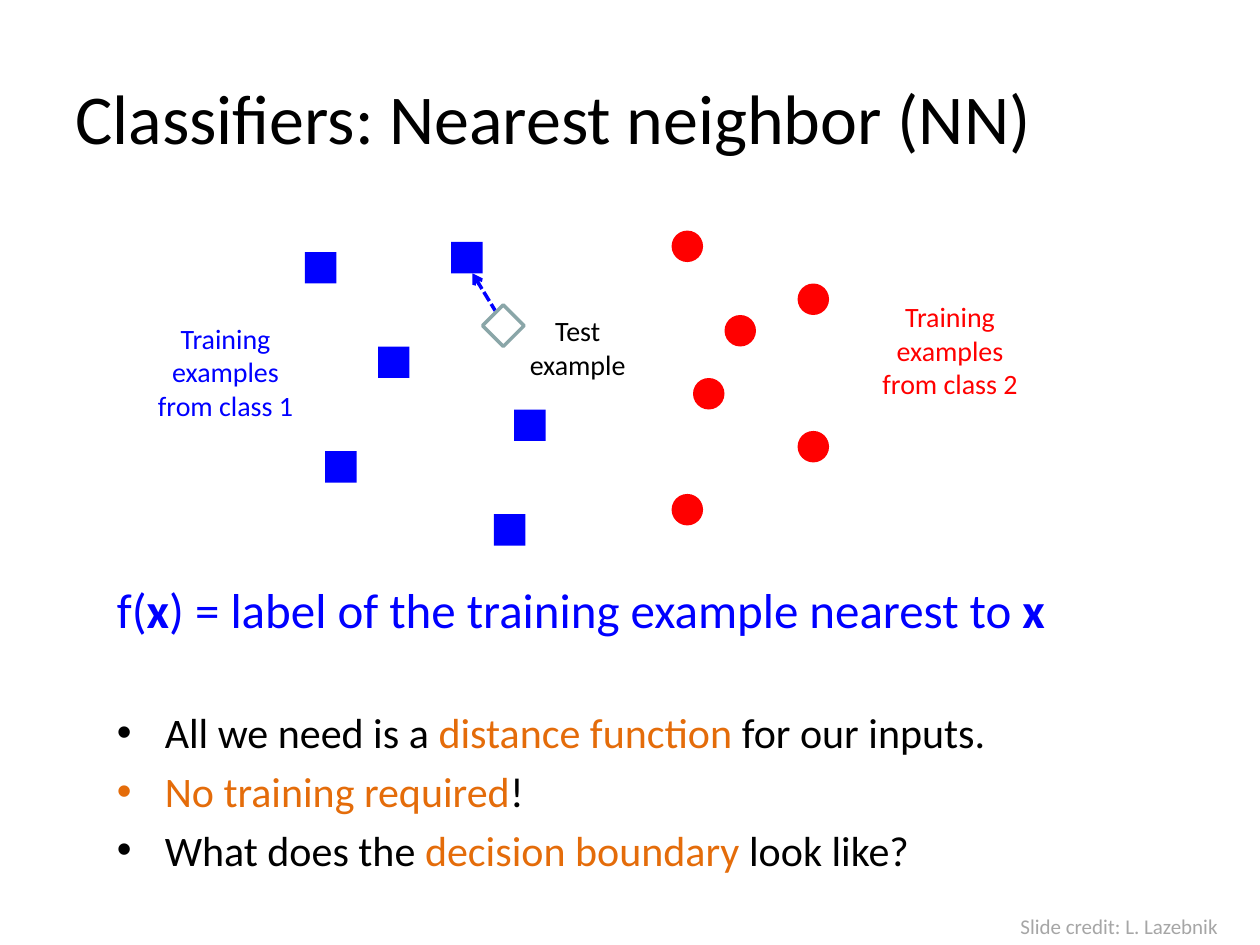
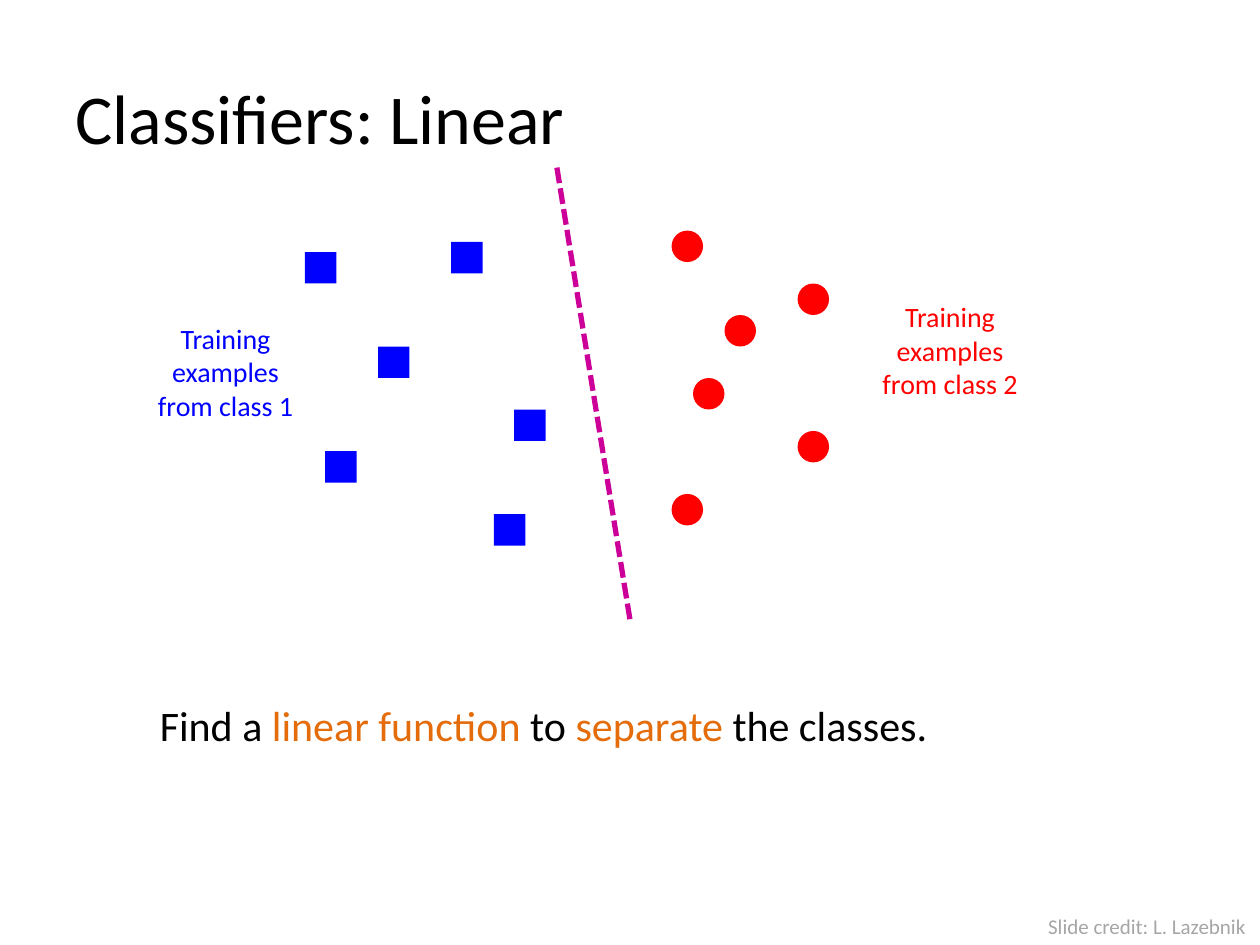
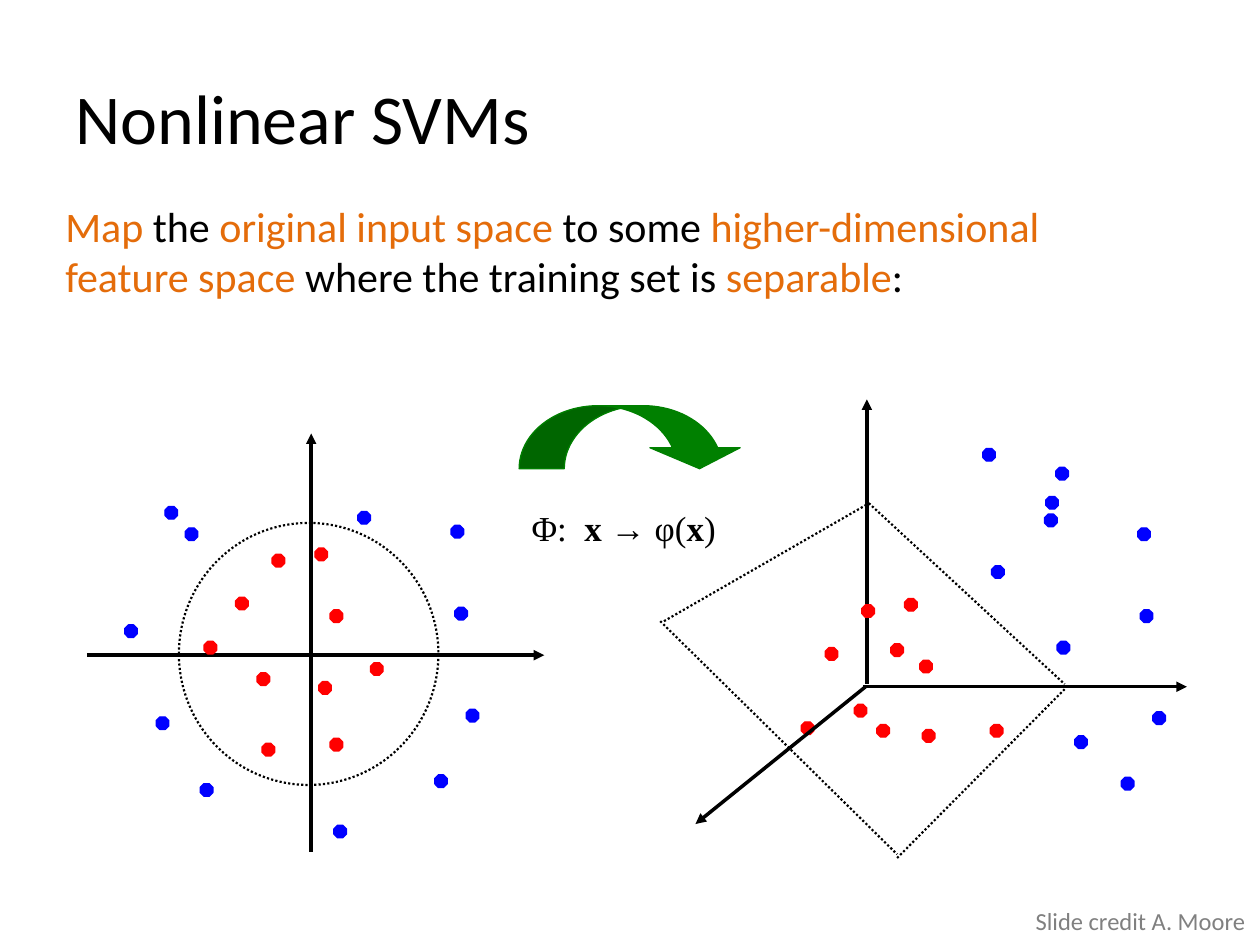
from lxml import etree
from pptx import Presentation, util as u
from pptx.dml.color import RGBColor
from pptx.enum import dml, shapes, text
from pptx.oxml import ns

# Shared look
BLACK, WHITE, BLUE, RED = "000000", "FFFFFF", "0000FF", "FF0000"
ORANGE, GREEN, PURPLE, SLATE = "E46C0A", "008000", "CC0099", "8AA6A8"
FONT, MATH_FONT = "Calibri", "Times New Roman"
DASHED, DOTTED = dml.MSO_LINE.SQUARE_DOT, dml.MSO_LINE.ROUND_DOT
SHAPE = shapes.MSO_SHAPE

# Left and top of each marker
CLASS_1 = [(2.42, 2), (3, 2.75), (3.58, 1.92), (2.58, 3.58), (4.08, 3.25), (3.92, 4.08)]
CLASS_2 = [(6.33, 2.25), (5.5, 3), (6.33, 3.42), (5.33, 1.83), (5.75, 2.5), (5.33, 3.92)]
INPUT_INNER = [(2.5, 4.35), (1.87, 4.74), (2.04, 5.34), (2.62, 5.86), (2.16, 4.4),
               (1.62, 5.09), (2.08, 5.9), (2.62, 4.84), (2.94, 5.26), (2.53, 5.41)]
INPUT_OUTER = [(3.61, 4.82), (3.45, 6.15), (0.99, 4.96), (2.65, 6.55), (3.7, 5.63),
               (1.59, 6.22), (1.24, 5.69), (1.31, 4.02), (2.84, 4.06), (1.47, 4.19),
               (3.58, 4.17)]
FEATURE_INNER = [(7.18, 4.75), (6.55, 5.14), (6.96, 5.75), (7.86, 5.75), (6.84, 4.8),
                 (7.07, 5.11), (7.32, 5.79), (7.3, 5.24), (6.78, 5.59), (6.36, 5.73)]
FEATURE_OUTER = [(9.05, 4.84), (8.9, 6.17), (8.38, 3.71), (8.39, 5.09), (9.15, 5.65),
                 (7.87, 4.49), (8.53, 5.84), (8.3, 3.94), (8.29, 4.08), (7.8, 3.56),
                 (9.03, 4.19)]


def color(hex_value):
    return RGBColor.from_string(hex_value)


# Text
def add_box(page, left, top, width, height, wrap=True):
    box = page.shapes.add_textbox(*map(u.Inches, (left, top, width, height)))
    box.text_frame.word_wrap = wrap
    return box.text_frame


def write(para, marked_text, size, ink=BLACK, accent=None, bold_accent=False, font=FONT):
    """Write text in which every second part between bars is accented."""
    for index, part in enumerate(marked_text.split("|")):
        if not part:
            continue
        accented = index % 2 == 1
        span = para.add_run()
        span.text = part
        span.font.name = font
        span.font.size = u.Pt(size)
        span.font.bold = accented and bold_accent
        span.font.color.rgb = color(accent if accented and accent else ink)


def add_text(page, place, marked_text, size, centered=False, wrap=True, **style):
    frame = add_box(page, *place, wrap=wrap)
    write(frame.paragraphs[0], marked_text, size, **style)
    if centered:
        frame.paragraphs[0].alignment = text.PP_ALIGN.CENTER
    return frame


def add_title(page, title):
    frame = add_text(page, (0.5, 0.3, 9, 1.25), title, 40)
    frame.vertical_anchor = text.MSO_ANCHOR.MIDDLE


def add_credit(page, place, credit, size=12, ink="A6A6A6"):
    add_text(page, place, credit, size, wrap=False, ink=ink)


def add_bullet(frame, marked_text, space_before):
    para = frame.add_paragraph()
    para.space_before = u.Pt(space_before)
    properties = para._p.get_or_add_pPr()
    properties.set("marL", str(u.Inches(0.38)))
    properties.set("indent", str(u.Inches(-0.38)))
    font = etree.SubElement(properties, ns.qn("a:buFont"))
    font.set("typeface", "Arial")
    etree.SubElement(properties, ns.qn("a:buChar")).set("char", "•")
    write(para, marked_text, 24, accent=ORANGE)


# Shapes and lines
def add_shape(page, kind, place, fill=None, line=None, weight=0.75, dash=None, adjust=()):
    shape = page.shapes.add_shape(kind, *map(u.Inches, place))
    shape.shadow.inherit = False
    for index, value in enumerate(adjust):
        shape.adjustments[index] = value
    if fill:
        shape.fill.solid()
        shape.fill.fore_color.rgb = color(fill)
    else:
        shape.fill.background()
    if line:
        shape.line.color.rgb = color(line)
        shape.line.width = u.Pt(weight)
        if dash:
            shape.line.dash_style = dash
    else:
        shape.line.fill.background()


def add_line(page, start, end, ink=BLACK, weight=2, dash=None, head=None):
    line = page.shapes.add_connector(
        shapes.MSO_CONNECTOR.STRAIGHT, *map(u.Inches, (*start, *end)))
    line.line.color.rgb = color(ink)
    line.line.width = u.Pt(weight)
    if dash:
        line.line.dash_style = dash
    if head:
        outline = line.line._get_or_add_ln()
        etree.SubElement(outline, ns.qn("a:tailEnd")).set("type", head)
    etree.SubElement(line._element.spPr, ns.qn("a:effectLst"))


def add_axis(page, start, end):
    add_line(page, start, end, head="triangle")


def add_dots(page, places, ink):
    for left, top in places:
        add_shape(page, SHAPE.OCTAGON, (left, top, 0.1, 0.1), ink, ink, adjust=[0.293])


def add_training_set(page):
    for kind, places, ink in ((SHAPE.RECTANGLE, CLASS_1, BLUE), (SHAPE.OVAL, CLASS_2, RED)):
        for left, top in places:
            add_shape(page, kind, (left, top, 0.25, 0.25), ink)
    for number, left, top, ink in ((1, 1.08, 2.5, BLUE), (2, 6.83, 2.33, RED)):
        add_text(page, (left, top, 1.42, 0.91),
                 f"Training examples from class {number}", 16, centered=True, ink=ink)


# Slides
def build_nearest_neighbor(page):
    add_title(page, "Classifiers: Nearest neighbor (NN)")
    frame = add_text(page, (0.83, 4.55, 9.5, 1.45),
                     "f(|x|) = label of the training example nearest to |x",
                     28, ink=BLUE, bold_accent=True)
    add_bullet(frame, "All we need is a |distance function |for our inputs.", 39)
    add_bullet(frame, "|No training required|!", 4.8)
    add_bullet(frame, "What does the |decision boundary |look like?", 4.8)
    add_training_set(page)
    add_text(page, (4, 2.44, 1.17, 0.64), "Test example", 16, centered=True)
    add_line(page, (4, 2.58), (3.75, 2.17), BLUE, dash=DASHED, head="arrow")
    add_shape(page, SHAPE.DIAMOND, (3.83, 2.42, 0.33, 0.33), WHITE, SLATE, 2)
    add_credit(page, (8, 7.2, 1.78, 0.3), "Slide credit: L. Lazebnik")


def build_linear(page):
    add_title(page, "Classifiers: Linear")
    add_text(page, (1.17, 5.5, 7.96, 0.72),
             "Find a |linear function |to |separate| the classes.", 24, accent=ORANGE)
    add_training_set(page)
    add_line(page, (4.42, 1.33), (5, 4.92), PURPLE, 3, DASHED)
    add_credit(page, (8.22, 7.2, 1.78, 0.3), "Slide credit: L. Lazebnik")


def build_nonlinear(page):
    # Input space
    add_axis(page, (2.47, 6.76), (2.47, 3.44))
    add_axis(page, (0.69, 5.2), (4.32, 5.2))
    add_dots(page, INPUT_INNER, RED)
    add_dots(page, INPUT_OUTER, BLUE)
    add_shape(page, SHAPE.OVAL, (1.42, 4.15, 2.06, 2.08),
              line=BLACK, weight=1.25, dash=DOTTED)

    # Feature space
    add_axis(page, (6.88, 5.43), (6.88, 3.17))
    add_axis(page, (6.85, 5.45), (9.42, 5.45))
    add_dots(page, FEATURE_INNER, RED)
    add_dots(page, FEATURE_OUTER, BLUE)
    add_axis(page, (6.87, 5.45), (5.52, 6.54))
    plane_edges = [((6.87, 3.97), (8.45, 5.43)), ((7.12, 6.81), (8.45, 5.47)),
                   ((5.27, 4.93), (6.87, 4.01)), ((5.24, 4.93), (7.12, 6.78))]
    for start, end in plane_edges:
        add_line(page, start, end, weight=1.25, dash=DOTTED)

    # Mapping between the spaces
    add_shape(page, SHAPE.CURVED_DOWN_ARROW, (4.12, 3.22, 1.79, 0.5), GREEN, GREEN,
              adjust=[0.717, 1.433, 0.333])
    add_text(page, (4.12, 3.97, 2.08, 0.43), "Φ:  |x → |φ(|x|)", 20,
             bold_accent=True, font=MATH_FONT)

    add_title(page, "Nonlinear SVMs")
    add_text(page, (0.42, 1.54, 8.83, 5.21),
             "|Map| the |original input space |to some |higher-dimensional feature space "
             "|where the training set is |separable|:", 24, accent=ORANGE)
    add_credit(page, (8.12, 7.14, 1.88, 0.34), "Slide credit A. Moore", 14, "808080")


def main():
    deck = Presentation()
    deck.slide_width, deck.slide_height = u.Inches(10), u.Inches(7.5)
    for build in (build_nearest_neighbor, build_linear, build_nonlinear):
        build(deck.slides.add_slide(deck.slide_layouts[6]))
    deck.save("out.pptx")


if __name__ == "__main__":
    main()
